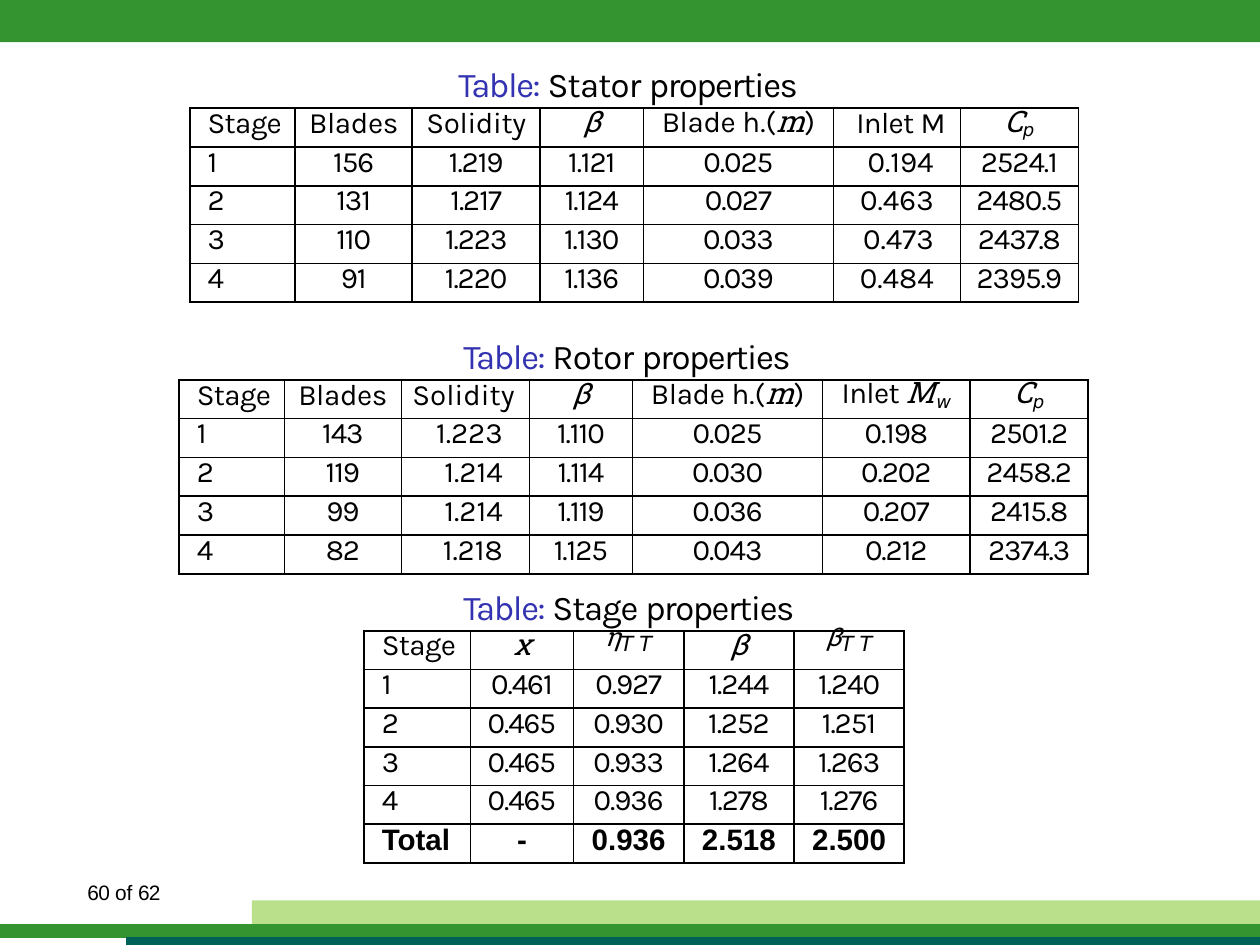
"""Build a slide with stator, rotor and stage property tables."""
from dataclasses import dataclass

from lxml import etree
from pptx import Presentation
from pptx import util as u
from pptx.dml.color import RGBColor
from pptx.enum import shapes, text
from pptx.oxml import ns


@dataclass(frozen=True)
class Theme:
    """Colours, fonts and type sizes of the slide."""
    green: str = "339430"
    light_green: str = "BBE08C"
    teal: str = "006159"
    blue: str = "3333B2"
    black: str = "000000"
    sans: str = "Karla"
    slab: str = "Roboto Slab"
    subscript: str = "DejaVu Sans"
    plain: str = "Arial"
    caption_size: float = 10
    cell_size: float = 8.5
    subscript_size: float = 9
    greek_size: float = 12.8
    small_size: float = 6
    line_height: float = 9.4


THEME = Theme()
SYMBOL = dict(font=THEME.slab, italic=True)
SUBSCRIPT = dict(font=THEME.subscript, size=THEME.subscript_size, italic=True, baseline=-14)
RAISED = dict(font=THEME.slab, size=THEME.greek_size, italic=True, baseline=10)
SMALL = dict(font=THEME.subscript, size=THEME.small_size, italic=True)
BOLD = dict(font=THEME.plain, bold=True)

LEFT, CENTER, RIGHT = text.PP_ALIGN.LEFT, text.PP_ALIGN.CENTER, text.PP_ALIGN.RIGHT
SLIDE_WIDTH, SLIDE_HEIGHT = u.Pt(363), u.Pt(272.5)
FULL_WIDTH = 12.81
CAPTION_OFFSET = 0.49

BETA = [("β", SYMBOL)]
HEAT = [("C", dict(SYMBOL, spacing=-0.1)), ("p", dict(SUBSCRIPT, spacing=-0.2))]
BLADE_HEIGHT = [("Blade ", dict(spacing=-0.1)), ("h.(", {}), ("m", SYMBOL), (")", {})]
STAGE = [("Stage", dict(spacing=-0.2))]
BLADES = [("Blades", dict(spacing=-0.1))]
TOTAL_TOTAL = [("T ", dict(SMALL, spacing=-0.2)), ("T", dict(SMALL, spacing=0.1))]

STATOR = [
    [STAGE, BLADES, [("Solidity", dict(spacing=-0.1))], BETA, BLADE_HEIGHT,
     [("Inlet ", dict(spacing=-0.2)), ("M", dict(spacing=1))], HEAT],
    ["1", "156", "1.219", "1.121", "0.025", "0.194", "2524.1"],
    ["2", "131", "1.217", "1.124", "0.027", "0.463", "2480.5"],
    ["3", "110", "1.223", "1.130", "0.033", "0.473", "2437.8"],
    ["4", "91", "1.220", "1.136", "0.039", "0.484", "2395.9"],
]
ROTOR = [
    [STAGE, BLADES, [("Solidity", {})], BETA, BLADE_HEIGHT,
     [("Inlet ", dict(spacing=-0.2)), ("M", dict(SYMBOL, spacing=0.5)),
      ("w", dict(SUBSCRIPT, spacing=0.8))], HEAT],
    ["1", "143", "1.223", "1.110", "0.025", "0.198", "2501.2"],
    ["2", "119", "1.214", "1.114", "0.030", "0.202", "2458.2"],
    ["3", "99", "1.214", "1.119", "0.036", "0.207", "2415.8"],
    ["4", "82", "1.218", "1.125", "0.043", "0.212", "2374.3"],
]
STAGES = [
    [STAGE, [("χ", SYMBOL)], [("η", dict(RAISED, spacing=-0.4)), *TOTAL_TOTAL], BETA,
     [("β", dict(RAISED, spacing=-0.2)), *TOTAL_TOTAL]],
    ["1", "0.461", "0.927", "1.244", "1.240"],
    ["2", "0.465", "0.930", "1.252", "1.251"],
    ["3", "0.465", "0.933", "1.264", "1.263"],
    ["4", "0.465", "0.936", "1.278", "1.276"],
    [[(value, BOLD)] for value in ("Total", "-", "0.936", "2.518", "2.500")],
]


def add_run(paragraph, content, *, font=THEME.sans, size=THEME.cell_size, color=THEME.black,
            spacing=0, italic=False, bold=False, baseline=0):
    """Add text to a paragraph in the given format."""
    run = paragraph.add_run()
    run.text = content
    run.font.name = font
    run.font.size = u.Pt(size)
    run.font.italic = italic
    run.font.bold = bold
    run.font.color.rgb = RGBColor.from_string(color)
    properties = run._r.get_or_add_rPr()
    properties.set("spc", str(round(spacing * 100)))
    if baseline:
        properties.set("baseline", str(baseline * 1000))


def add_textbox(slide, left, top, width, height, runs, inset_left=0, inset_top=0, line_height=None):
    """Add a text box holding one line of formatted runs."""
    box = slide.shapes.add_textbox(u.Cm(left), u.Cm(top), u.Cm(width), u.Cm(height))
    frame = box.text_frame
    frame.word_wrap = True
    frame.margin_left, frame.margin_top = u.Cm(inset_left), u.Cm(inset_top)
    frame.margin_right = frame.margin_bottom = 0
    paragraph = frame.paragraphs[0]
    if line_height:
        paragraph.line_spacing = u.Pt(line_height)
    for content, style in runs:
        add_run(paragraph, content, **style)


def add_caption(slide, left, top, subject, spacing):
    """Add a table caption with a blue label."""
    style = dict(size=THEME.caption_size)
    runs = [("Table: ", dict(style, color=THEME.blue, spacing=-0.4)),
            (subject + " ", dict(style, spacing=spacing)),
            ("properties", dict(style, spacing=-0.4))]
    add_textbox(slide, left, top, 3.55, 0.48, runs, inset_left=0.03, inset_top=0.03)


def set_borders(cell):
    """Draw a thin black line on each side of a cell."""
    properties = cell._tc.get_or_add_tcPr()
    for side in ("a:lnL", "a:lnR", "a:lnT", "a:lnB"):
        line = etree.SubElement(properties, ns.qn(side), w=str(u.Pt(0.5)))
        fill = etree.SubElement(line, ns.qn("a:solidFill"))
        etree.SubElement(fill, ns.qn("a:srgbClr"), val=THEME.black)


def fill_cell(cell, content, alignment, right_margin):
    """Write a cell from plain text or from formatted runs."""
    set_borders(cell)
    cell.fill.background()
    cell.margin_top = cell.margin_bottom = 0
    cell.margin_left = u.Cm(0.18 if alignment == LEFT else 0)
    cell.margin_right = u.Cm(right_margin if alignment == RIGHT else 0)
    paragraph = cell.text_frame.paragraphs[0]
    paragraph.alignment = alignment
    paragraph.line_spacing = u.Pt(THEME.line_height)
    if isinstance(content, str):
        content = [(content, dict(spacing=-0.3 if alignment == CENTER else 0))]
    for piece, style in content:
        add_run(paragraph, piece, **style)


def add_property_table(slide, left, top, height, widths, rows, right_column=None):
    """Add a ruled table whose first column is left aligned."""
    frame = slide.shapes.add_table(len(rows), len(widths), u.Cm(left), u.Cm(top),
                                   u.Cm(sum(widths)), u.Cm(height))
    table = frame.table
    table.first_row = table.horz_banding = False
    for column, width in zip(table.columns, widths):
        column.width = u.Cm(width)
    for row_index, row in enumerate(rows):
        for column_index, content in enumerate(row):
            alignment = {0: LEFT, right_column: RIGHT}.get(column_index, CENTER)
            right_margin = 0.27 if row_index else 0.15
            fill_cell(table.cell(row_index, column_index), content, alignment, right_margin)


def add_bar(slide, left, top, height, color):
    """Add a plain rectangle that reaches the right edge of the slide."""
    bar = slide.shapes.add_shape(shapes.MSO_SHAPE.RECTANGLE, u.Cm(left), u.Cm(top),
                                 SLIDE_WIDTH - u.Cm(left), u.Cm(height))
    bar.shadow.inherit = False
    bar.fill.solid()
    bar.fill.fore_color.rgb = RGBColor.from_string(color)
    bar.line.fill.background()


def add_rule(slide, left, top, color, weight):
    """Add a horizontal line that reaches the right edge of the slide."""
    rule = slide.shapes.add_connector(shapes.MSO_CONNECTOR.STRAIGHT, u.Cm(left), u.Cm(top),
                                      SLIDE_WIDTH, u.Cm(top))
    rule.line.color.rgb = RGBColor.from_string(color)
    rule.line.width = u.Pt(weight)
    etree.SubElement(rule._element.spPr, ns.qn("a:effectLst"))


def main():
    """Build and save the slide."""
    presentation = Presentation()
    presentation.slide_width, presentation.slide_height = SLIDE_WIDTH, SLIDE_HEIGHT
    slide = presentation.slides.add_slide(presentation.slide_layouts[6])
    add_bar(slide, 0, 0, 0.43, THEME.green)
    start, end = [1.07, 1.19, 1.3, 1.05, 1.93], [1.2]
    tables = [
        ("Stator", -0.2, 4.63, 1.93, 1.1, 1.97, start + [1.29] + end, STATOR, 5),
        ("Rotor", -0.2, 4.68, 1.82, 3.86, 1.97, start + [1.5] + end, ROTOR, 2),
        ("Stage", -0.3, 4.68, 3.7, 6.41, 2.36, [1.08, 1.05] + [1.12] * 3, STAGES, None),
    ]
    for subject, spacing, caption_left, left, top, height, widths, rows, right_column in tables:
        add_caption(slide, caption_left, top - CAPTION_OFFSET, subject, spacing)
        add_property_table(slide, left, top, height, widths, rows, right_column)
    add_bar(slide, 2.56, 9.15, 0.24, THEME.light_green)
    add_rule(slide, 0, 9.46, THEME.green, 4.08)
    add_rule(slide, 1.28, 9.56, THEME.teal, 2.22)
    number = dict(font=THEME.plain, size=THEME.small_size)
    runs = [("60 ", dict(number, spacing=-0.2)), ("of ", number), ("62", dict(number, spacing=-0.2))]
    add_textbox(slide, 0.82, 8.95, 0.95, 0.28, runs, inset_left=0.07, line_height=6.8)
    presentation.save("out.pptx")


if __name__ == "__main__":
    main()
